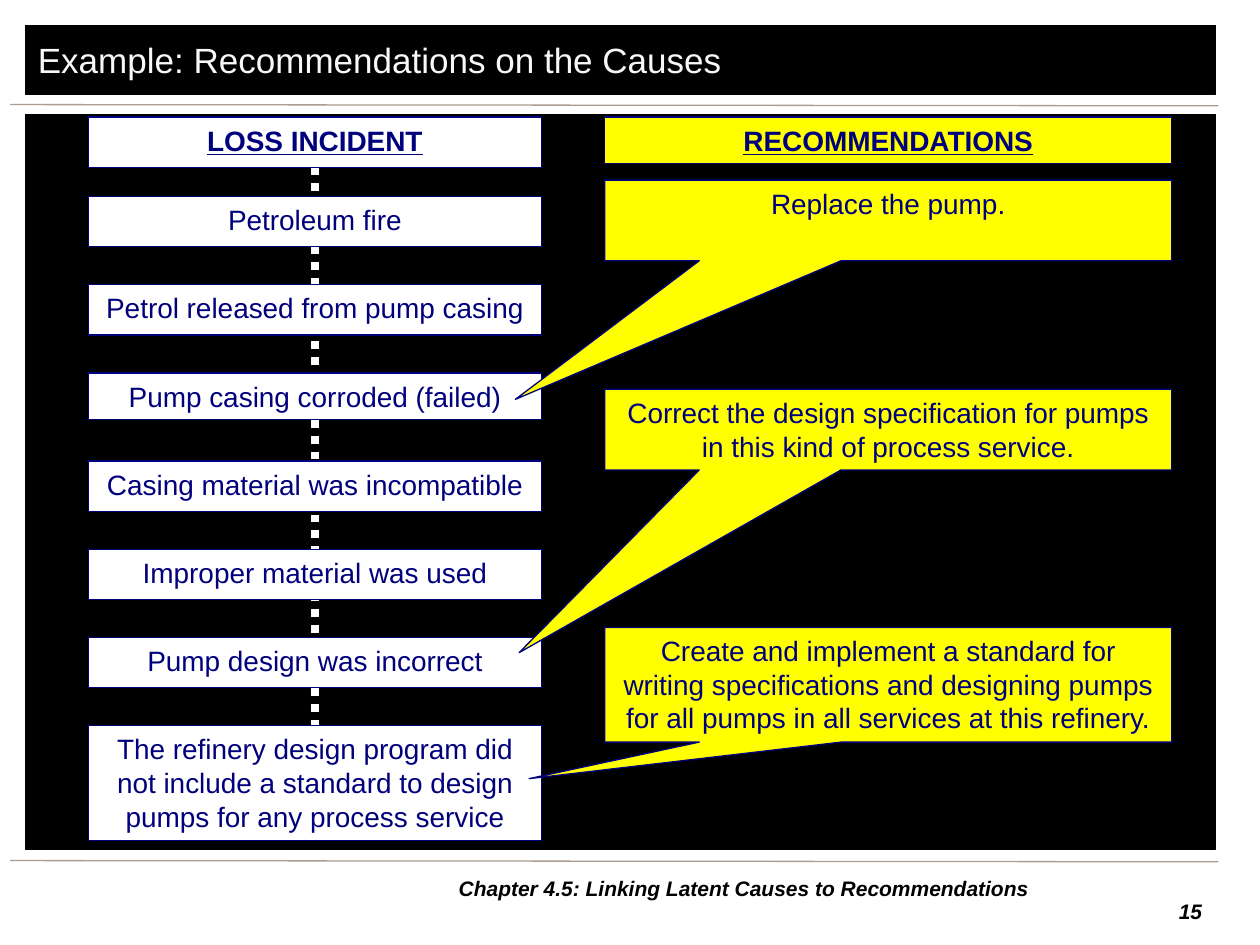
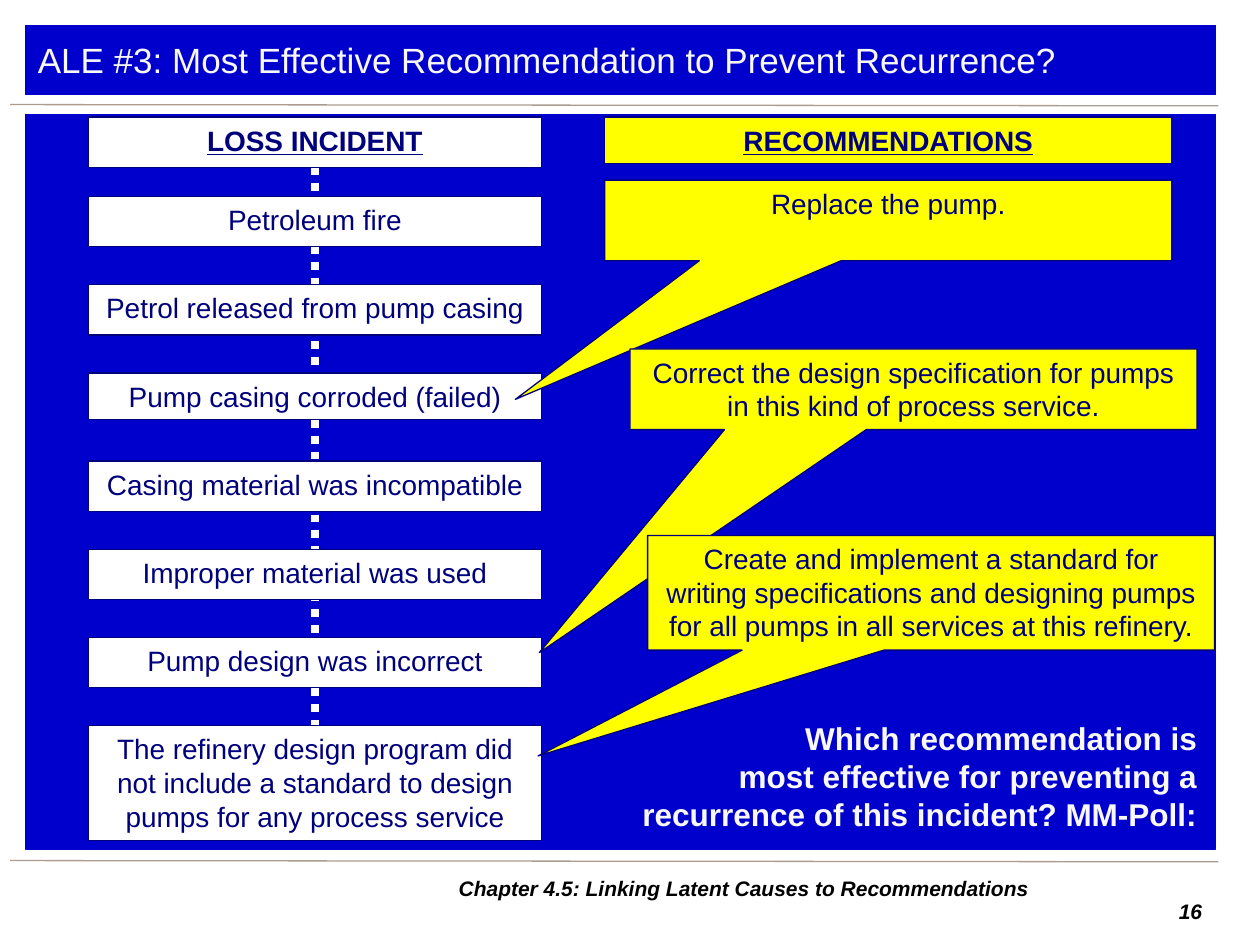
"""Builds two slides that link the causes of a loss incident to recommendations."""
from pptx import Presentation
from pptx.dml.color import RGBColor
from pptx.enum.dml import MSO_LINE
from pptx.enum.shapes import MSO_CONNECTOR, MSO_SHAPE
from pptx.enum.text import MSO_ANCHOR as Anchor, MSO_AUTO_SIZE, PP_ALIGN as Align
from pptx.oxml.ns import qn
from pptx.util import Inches, Pt
from lxml.etree import SubElement

BLACK = RGBColor(0x00, 0x00, 0x00)
WHITE = RGBColor(0xFF, 0xFF, 0xFF)
OFF_WHITE = RGBColor(0xF8, 0xF8, 0xF8)
BLUE = RGBColor(0x00, 0x00, 0xCC)
NAVY = RGBColor(0x00, 0x00, 0x7D)
YELLOW = RGBColor(0xFF, 0xFF, 0x00)
TAUPE = RGBColor(0xAA, 0x9C, 0x8F)

FONT = "Arial"
TITLE_ONLY = 5
CHAPTER = "Chapter 4.5: Linking Latent Causes to Recommendations"
BAND_LEFT, BAND_WIDTH = 0.2, 9.45
CAUSE_LEFT, CAUSE_WIDTH = 0.7, 3.6
FIRST_CAUSE_TOP, CAUSE_STEP = 1.56, 0.7
ADVICE_LEFT, ADVICE_WIDTH = 4.8, 4.5
HEADING_TOP = 0.93
ONE_LINE, TWO_LINES, THREE_LINES = 0.4, 0.64, 0.91

CAUSES = [
    ("Petroleum fire", ONE_LINE),
    ("Petrol released from pump casing", ONE_LINE),
    ("Pump casing corroded (failed)", 0.37),
    ("Casing material was incompatible", ONE_LINE),
    ("Improper material was used", ONE_LINE),
    ("Pump design was incorrect", ONE_LINE),
    ("The refinery design program did not include a standard to design "
     "pumps for any process service", THREE_LINES),
]
RECOMMENDATIONS = [
    ("Replace the pump.", TWO_LINES),
    ("Correct the design specification for pumps in this kind of process service.",
     TWO_LINES),
    ("Create and implement a standard for writing specifications and designing "
     "pumps for all pumps in all services at this refinery.", THREE_LINES),
]
QUESTION = ("Which recommendation is\vmost effective for preventing a "
            "recurrence of this incident? MM-Poll:")


class Deck:
    """Holds the shared style and the slide being drawn."""

    def __init__(self):
        self.presentation = Presentation()
        self.presentation.slide_width = Inches(10)
        self.presentation.slide_height = Inches(7.5)

    def start_slide(self, title, number, theme):
        layout = self.presentation.slide_layouts[TITLE_ONLY]
        self.slide = self.presentation.slides.add_slide(layout)
        for y in (0.83, 6.83):
            self.line((0.08, y), (9.67, y + 0.01), TAUPE, 0.75)
        self.title(title, theme)
        self.label(str(number), (9.06, 7.08, 0.58, 0.31), 12, BLACK, Align.RIGHT,
                   bold=True, italic=True)
        self.label(CHAPTER, (2.95, 6.89, 5.91, 0.31), 12, BLACK, Align.CENTER,
                   Anchor.MIDDLE, bold=True, italic=True)
        self.box((BAND_LEFT, 0.91, BAND_WIDTH, 5.83), theme, theme)

    def set_words(self, shape, words, size, color, align, anchor=Anchor.TOP,
                  bold=False, italic=False, underline=False):
        frame = shape.text_frame
        frame.text = words
        frame.word_wrap = True
        frame.auto_size = MSO_AUTO_SIZE.NONE
        frame.vertical_anchor = anchor
        paragraph = frame.paragraphs[0]
        paragraph.alignment = align
        font = paragraph.font
        font.name, font.size, font.color.rgb = FONT, Pt(size), color
        font.bold, font.italic, font.underline = bold, italic, underline

    def paint(self, shape, fill, outline):
        shape.fill.solid()
        shape.fill.fore_color.rgb = fill
        shape.line.color.rgb = outline
        shape.line.width = Pt(0.75)

    def title(self, words, theme):
        heading = self.slide.shapes.title
        heading.left, heading.top = Inches(BAND_LEFT), Inches(0.2)
        heading.width, heading.height = Inches(BAND_WIDTH), Inches(0.55)
        self.paint(heading, theme, theme)
        self.set_words(heading, words, 20, OFF_WHITE, Align.LEFT, Anchor.MIDDLE)

    def label(self, words, area, *style, **emphasis):
        label = self.slide.shapes.add_textbox(*map(Inches, area))
        self.set_words(label, words, *style, **emphasis)

    def box(self, area, fill, outline=NAVY, words="", kind=MSO_SHAPE.RECTANGLE,
            **emphasis):
        panel = self.slide.shapes.add_shape(kind, *map(Inches, area))
        panel.shadow.inherit = False
        self.paint(panel, fill, outline)
        if words:
            self.set_words(panel, words, 16, NAVY, Align.CENTER, **emphasis)
        return panel

    def callout(self, words, area, tip):
        left, top, width, height = area
        bubble = self.box(area, YELLOW, words=words,
                          kind=MSO_SHAPE.RECTANGULAR_CALLOUT)
        bubble.adjustments[0] = (tip[0] - left) / width - 0.5
        bubble.adjustments[1] = (tip[1] - top) / height - 0.5

    def line(self, start, end, color, width, dash=None):
        stroke = self.slide.shapes.add_connector(
            MSO_CONNECTOR.STRAIGHT, *map(Inches, start + end))
        stroke.line.color.rgb = color
        stroke.line.width = Pt(width)
        if dash:
            stroke.line.dash_style = dash
        SubElement(stroke.element.spPr, qn("a:effectLst"))

    def cause_chain(self):
        middle = CAUSE_LEFT + CAUSE_WIDTH / 2
        last_top = FIRST_CAUSE_TOP + CAUSE_STEP * (len(CAUSES) - 1)
        self.line((middle, HEADING_TOP + ONE_LINE), (middle, last_top), WHITE, 4.5,
                  MSO_LINE.ROUND_DOT)
        for step, (cause, height) in enumerate(CAUSES):
            top = FIRST_CAUSE_TOP + CAUSE_STEP * step
            self.box((CAUSE_LEFT, top, CAUSE_WIDTH, height), WHITE, words=cause)
        self.box((CAUSE_LEFT, HEADING_TOP, CAUSE_WIDTH, ONE_LINE), WHITE,
                 words="LOSS INCIDENT", bold=True, underline=True)

    def recommendations(self, placements):
        self.box((ADVICE_LEFT, HEADING_TOP, ADVICE_WIDTH, 0.37), YELLOW,
                 words="RECOMMENDATIONS", bold=True, underline=True)
        for (advice, height), (left, top, tip) in zip(RECOMMENDATIONS, placements):
            self.callout(advice, (left, top, ADVICE_WIDTH, height), tip)


def main():
    deck = Deck()
    replace_pump = (ADVICE_LEFT, 1.43, (4.09, 3.17))

    deck.start_slide("Example: Recommendations on the Causes", 15, BLACK)
    deck.cause_chain()
    deck.recommendations([replace_pump,
                          (ADVICE_LEFT, 3.09, (4.12, 5.18)),
                          (ADVICE_LEFT, 4.98, (4.2, 6.18))])

    deck.start_slide("ALE #3: Most Effective Recommendation to Prevent Recurrence?",
                     16, BLUE)
    deck.cause_chain()
    deck.recommendations([replace_pump,
                          (5, 2.77, (4.28, 5.18)),
                          (5.14, 4.25, (4.27, 6))])
    deck.label(QUESTION, (4.89, 5.66, 4.71, 1.01), 18, OFF_WHITE, Align.RIGHT,
               bold=True)

    deck.presentation.save("out.pptx")


if __name__ == "__main__":
    main()
